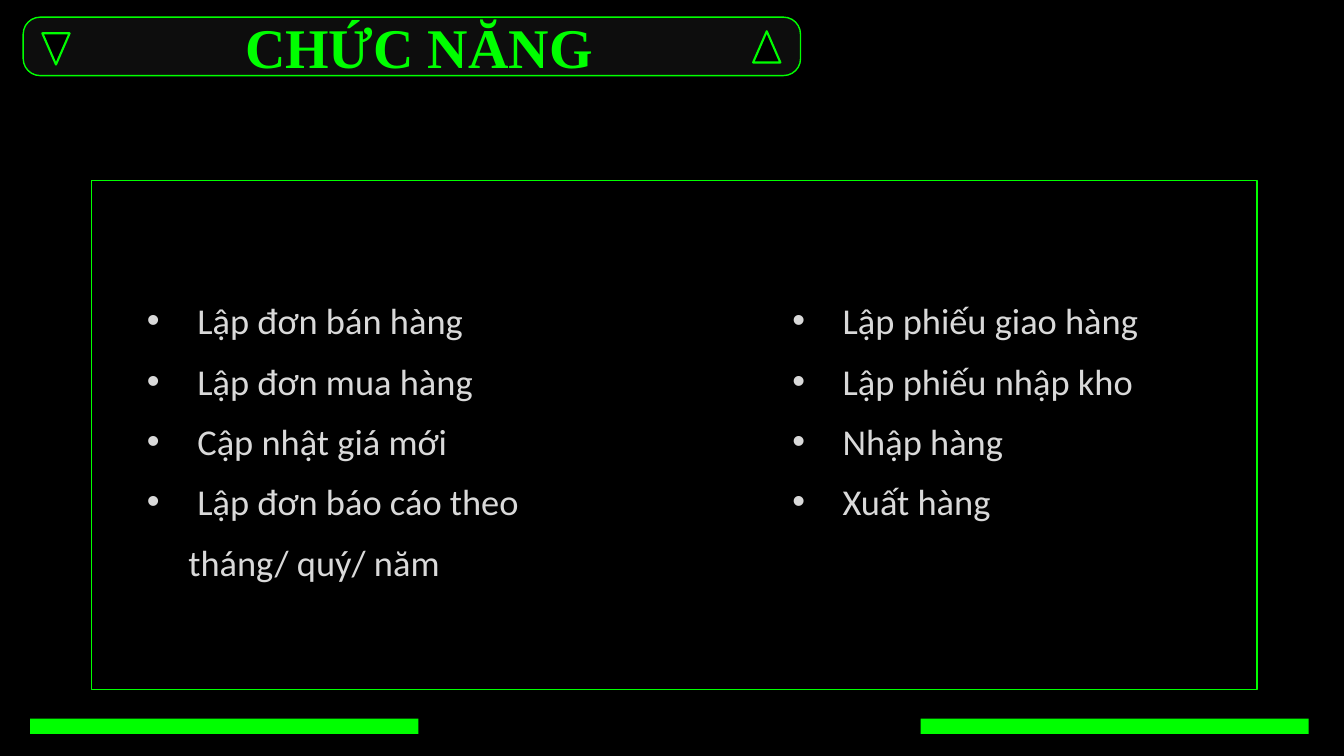
from dataclasses import dataclass

from lxml import etree
from pptx import Presentation
from pptx.dml.color import RGBColor
from pptx.enum.shapes import MSO_SHAPE
from pptx.enum.text import MSO_ANCHOR, PP_ALIGN
from pptx.oxml.ns import qn
from pptx.util import Inches, Pt

RECT = MSO_SHAPE.RECTANGLE
ROUNDED = MSO_SHAPE.ROUNDED_RECTANGLE
TRIANGLE = MSO_SHAPE.ISOSCELES_TRIANGLE
CENTER, JUSTIFY = PP_ALIGN.CENTER, PP_ALIGN.JUSTIFY
TOP = MSO_ANCHOR.TOP

TITLE = "CHỨC NĂNG"
SALES_FUNCTIONS = [
    "Lập đơn bán hàng",
    "Lập đơn mua hàng",
    "Cập nhật giá mới",
    "Lập đơn báo cáo theo",
]
SALES_CONTINUATION = "tháng/ quý/ năm"
STOCK_FUNCTIONS = [
    "Lập phiếu giao hàng",
    "Lập phiếu nhập kho",
    "Nhập hàng",
    "Xuất hàng",
]


@dataclass(frozen=True)
class Theme:
    black: RGBColor = RGBColor(0x00, 0x00, 0x00)
    header: RGBColor = RGBColor(0x0D, 0x0D, 0x0D)
    green: RGBColor = RGBColor(0x00, 0xFF, 0x00)
    text: RGBColor = RGBColor(0xD9, 0xD9, 0xD9)
    title_font: str = "Times New Roman"
    body_font: str = "Calibri"
    title_size: int = 40
    body_size: int = 26


THEME = Theme()
SLIDE_WIDTH, SLIDE_HEIGHT = 13.33, 7.5
BAR_WIDTH = 3.85
BAR_LEFTS = (0.3, 9.13)
# left, top, rotation
TRIANGLES = [(7.47, 0.31, 0), (0.42, 0.33, 180)]
BULLET_MARGIN, BULLET_HANG, CONTINUATION_MARGIN = 0.53, -0.5, 0.44


def add_box(slide, preset, box, fill, line_width=None):
    shape = slide.shapes.add_shape(preset, *map(Inches, box))
    shape.shadow.inherit = False
    shape.fill.solid()
    shape.fill.fore_color.rgb = fill
    if line_width is None:
        shape.line.fill.background()
    else:
        shape.line.color.rgb = THEME.green
        shape.line.width = Pt(line_width)
    return shape


def add_text_frame(slide, box):
    frame = slide.shapes.add_textbox(*map(Inches, box)).text_frame
    frame.word_wrap = True
    frame.vertical_anchor = TOP
    return frame


def style_run(run, font, size, color, bold=False):
    run.font.name = font
    run.font.size = Pt(size)
    run.font.color.rgb = color
    run.font.bold = bold


def add_title(slide, box):
    paragraph = add_text_frame(slide, box).paragraphs[0]
    paragraph.text = TITLE
    paragraph.alignment = CENTER
    run = paragraph.runs[0]
    style_run(run, THEME.title_font, THEME.title_size, THEME.green, bold=True)
    outline = etree.Element(qn("a:ln"), w=str(Pt(0.75)))
    outline_fill = etree.SubElement(outline, qn("a:solidFill"))
    etree.SubElement(outline_fill, qn("a:srgbClr"), val=str(THEME.green))
    run._r.get_or_add_rPr().insert(0, outline)


def set_indent(paragraph, margin, hang, bullet):
    properties = paragraph._p.get_or_add_pPr()
    properties.set("marL", str(Inches(margin)))
    properties.set("indent", str(Inches(hang)))
    if bullet:
        etree.SubElement(properties, qn("a:buFont"), typeface="Arial")
        etree.SubElement(properties, qn("a:buChar"), char="•")
    else:
        etree.SubElement(properties, qn("a:buNone"))


def add_function_list(slide, box, functions, continuation=None):
    """Bulleted lines, optionally closed by an unbulleted follow-on line."""
    frame = add_text_frame(slide, box)
    lines = functions + ([continuation] if continuation else [])
    for index, line in enumerate(lines):
        paragraph = frame.add_paragraph() if index else frame.paragraphs[0]
        paragraph.text = line
        if index < len(functions):
            set_indent(paragraph, BULLET_MARGIN, BULLET_HANG, bullet=True)
        else:
            set_indent(paragraph, CONTINUATION_MARGIN, 0, bullet=False)
        paragraph.alignment = JUSTIFY
        paragraph.space_after = Pt(12)
        style_run(paragraph.runs[0], THEME.body_font, THEME.body_size, THEME.text)


def main():
    deck = Presentation()
    deck.slide_width, deck.slide_height = Inches(SLIDE_WIDTH), Inches(SLIDE_HEIGHT)
    slide = deck.slides.add_slide(deck.slide_layouts[6])
    slide.background.fill.solid()
    slide.background.fill.fore_color.rgb = THEME.black

    for left in BAR_LEFTS:
        add_box(slide, RECT, (left, 7.13, BAR_WIDTH, 0.15), THEME.green)
    add_box(slide, RECT, (0.91, 1.79, 11.56, 5.05), THEME.black, 1)

    header = add_box(slide, ROUNDED, (0.23, 0.17, 7.71, 0.58), THEME.header, 1)
    header.adjustments[0] = 0.29
    add_title(slide, (1.59, 0.08, 5.13, 0.77))
    for left, top, rotation in TRIANGLES:
        triangle = add_box(slide, TRIANGLE, (left, top, 0.27, 0.31), THEME.black, 1.5)
        triangle.rotation = rotation

    add_function_list(slide, (1.33, 2.91, 5.5, 2.96), SALES_FUNCTIONS, SALES_CONTINUATION)
    add_function_list(slide, (7.73, 2.91, 4.27, 2.36), STOCK_FUNCTIONS)
    deck.save("out.pptx")


if __name__ == "__main__":
    main()
